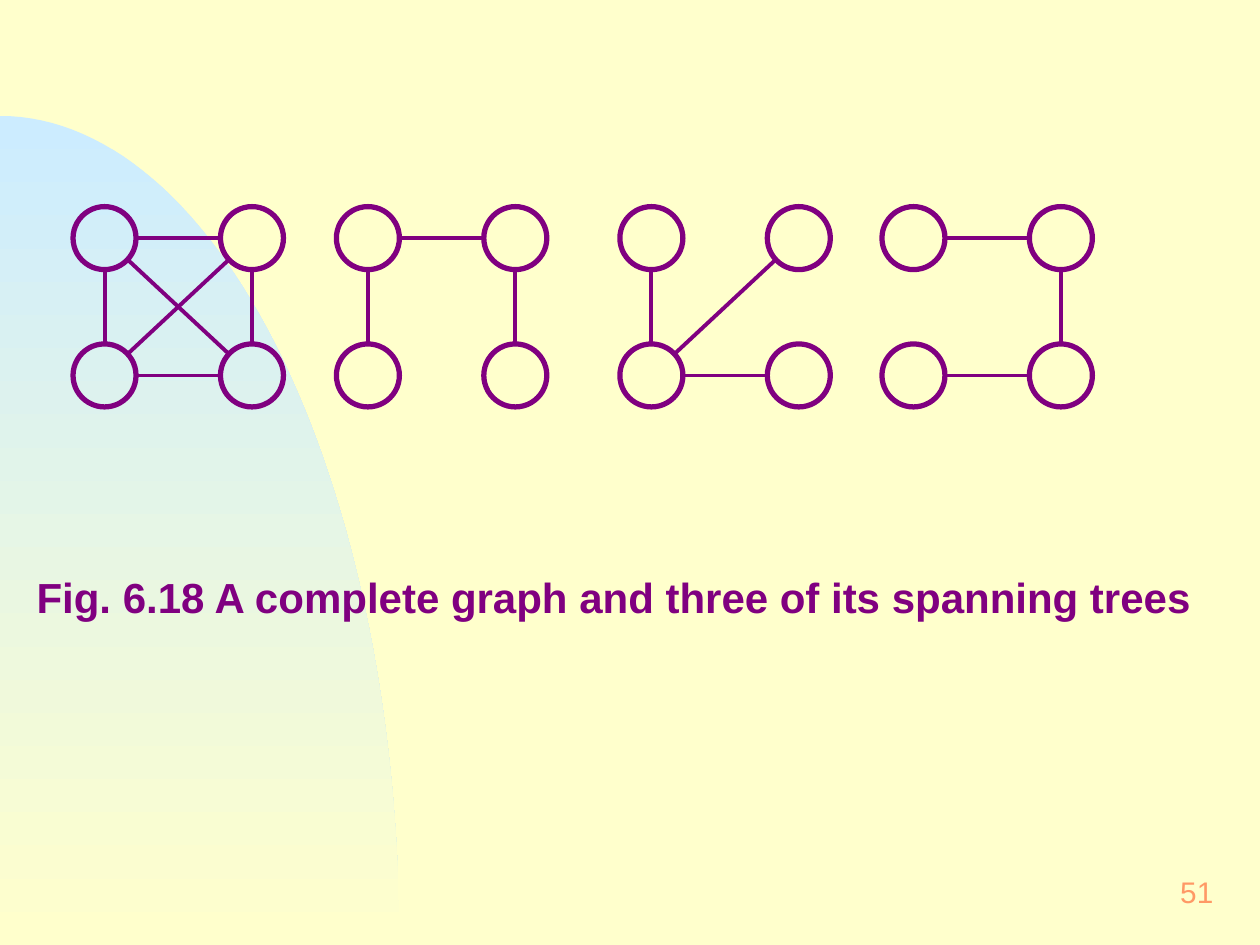
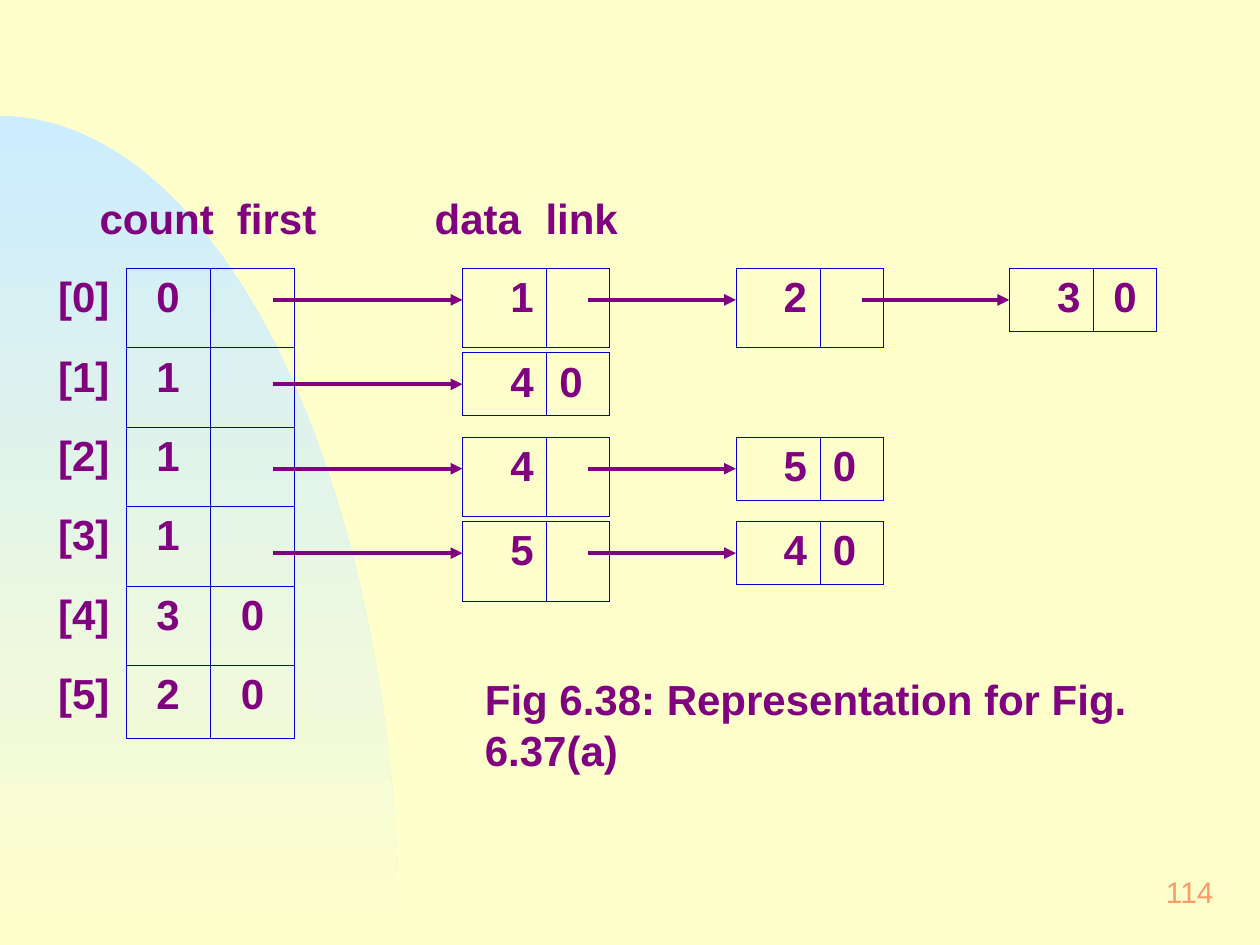
import math

import pptx
import pptx.dml.color
import pptx.enum.shapes
import pptx.enum.text
import pptx.oxml
import pptx.oxml.ns
import pptx.util
from pptx.util import Inches

ALIGN = pptx.enum.text.PP_ALIGN
COLORS = {"paper": "FFFFCC", "sky": "CCECFF", "ink": "800080",
          "grid": "0000CC", "page": "FF9966"}
FONT = "Arial"

# Graphs: nodes 0 and 1 on top, 2 and 3 below; edges are pairs of nodes
GRAPHS = [
    (0.58, [(0, 1), (0, 2), (0, 3), (1, 2), (1, 3), (2, 3)]),
    (2.67, [(0, 1), (0, 2), (1, 3)]),
    (4.92, [(0, 2), (1, 2), (2, 3)]),
    (7.0, [(0, 1), (1, 3), (2, 3)]),
]
GRAPH_CAPTION = "Fig. 6.18 A complete graph and three of its spanning trees"
NODE, NODE_TOP, NODE_DX, NODE_DY = 0.5, 1.64, 1.17, 1.09

# Adjacency lists: vertex rows, then the chain of each vertex
VERTICES = [("[0]", "0", ""), ("[1]", "1", ""), ("[2]", "1", ""),
            ("[3]", "1", ""), ("[4]", "3", "0"), ("[5]", "2", "0")]
CHAINS = [("123", ALIGN.CENTER), ("4", ALIGN.LEFT),
          ("45", ALIGN.LEFT), ("54", ALIGN.LEFT)]
# Heading text, left, width, tab stop
HEADINGS = [("count\tfirst", 0.67, 2.08, 1.09), ("data\tlink", 3.33, 1.92, 0.88)]
LIST_CAPTION = "Fig 6.38: Representation for Fig. 6.37(a)"
LIST_TOP, CHAIN_LEFT, CHAIN_DX, CHAIN_DY = 2.13, 3.67, 2.17, 0.67
ROW, TALL_ROW = 0.5, 0.63


def rgb(name):
    return pptx.dml.color.RGBColor.from_string(COLORS[name])


def write(frame, text, size=24, color="ink", bold=True, align=ALIGN.LEFT, tab=None):
    paragraph = frame.paragraphs[0]
    paragraph.alignment = align
    run = paragraph.add_run()
    run.text = text
    run.font.name, run.font.size, run.font.bold = FONT, pptx.util.Pt(size), bold
    run.font.color.rgb = rgb(color)
    if tab:
        paragraph._p.get_or_add_pPr().append(pptx.oxml.parse_xml(
            f'<a:tabLst {pptx.oxml.ns.nsdecls("a")}>'
            f'<a:tab pos="{Inches(tab)}" algn="l"/></a:tabLst>'))


def add_text(slide, text, left, top, width, height, inset=(0.12, 0.06),
             anchor=pptx.enum.text.MSO_ANCHOR.TOP, **fmt):
    frame = slide.shapes.add_textbox(*map(Inches, (left, top, width, height))).text_frame
    frame.word_wrap = True
    frame.vertical_anchor = anchor
    frame.margin_left = frame.margin_right = Inches(inset[0])
    frame.margin_top = frame.margin_bottom = Inches(inset[1])
    write(frame, text, **fmt)


def add_line(slide, start, end, arrow=False):
    line = slide.shapes.add_connector(
        pptx.enum.shapes.MSO_CONNECTOR.STRAIGHT, *map(Inches, (*start, *end)))
    line.line.color.rgb = rgb("ink")
    line.line.width = pptx.util.Pt(2.25)
    ns = pptx.oxml.ns.nsdecls("a")
    if arrow:
        line.line._get_or_add_ln().append(
            pptx.oxml.parse_xml(f'<a:tailEnd {ns} type="triangle"/>'))
    line._element.spPr.append(pptx.oxml.parse_xml(f"<a:effectLst {ns}/>"))


def add_slide(prs, page):
    """Slide with the quarter-ellipse backdrop and its page number."""
    slide = prs.slides.add_slide(prs.slide_layouts[6])
    rx, ry, bottom, steps = 3.17, 6.58, 7.5, 60
    angles = [math.pi / 2 * i / steps for i in range(steps + 1)]
    curve = [(Inches(rx * math.sin(a)), Inches(bottom - ry * math.cos(a))) for a in angles]
    outline = slide.shapes.build_freeform(*curve[0])
    outline.add_line_segments(curve[1:] + [(0, Inches(bottom))], close=True)
    backdrop = outline.convert_to_shape()
    backdrop.shadow.inherit = False
    backdrop.line.fill.background()
    backdrop.fill.gradient()
    backdrop.fill.gradient_angle = 270
    for stop, name in zip(backdrop.fill.gradient_stops, ("sky", "paper")):
        stop.color.rgb = rgb(name)
    add_text(slide, page, 7.67, 6.83, 2.08, 0.5, size=17, color="page", bold=False,
             align=ALIGN.RIGHT, anchor=pptx.enum.text.MSO_ANCHOR.MIDDLE)
    return slide


def add_graph(slide, left, edges):
    radius = NODE / 2
    corners = [(left + col * NODE_DX, NODE_TOP + row * NODE_DY)
               for row in range(2) for col in range(2)]
    for a, b in edges:
        (ax, ay), (bx, by) = corners[a], corners[b]
        length = math.hypot(bx - ax, by - ay)
        ux, uy = (bx - ax) / length * radius, (by - ay) / length * radius
        add_line(slide, (ax + radius + ux, ay + radius + uy),
                 (bx + radius - ux, by + radius - uy))
    for x, y in corners:
        node = slide.shapes.add_shape(pptx.enum.shapes.MSO_SHAPE.OVAL,
                                      *map(Inches, (x, y, NODE, NODE)))
        node.shadow.inherit = False
        node.fill.background()
        node.line.color.rgb = rgb("ink")
        node.line.width = pptx.util.Pt(3)


def set_borders(cell, sides="LRTB"):
    """Draw the given sides of a cell and clear the others."""
    for place, side in enumerate("LRTB"):
        fill = (f'<a:solidFill><a:srgbClr val="{COLORS["grid"]}"/></a:solidFill>'
                if side in sides else "<a:noFill/>")
        cell._tc.get_or_add_tcPr().insert(place, pptx.oxml.parse_xml(
            f'<a:ln{side} {pptx.oxml.ns.nsdecls("a")} w="5715">{fill}</a:ln{side}>'))


def add_grid(slide, left, top, widths, heights):
    table = slide.shapes.add_table(
        len(heights), len(widths),
        *map(Inches, (left, top, sum(widths), sum(heights)))).table
    table.first_row = table.horz_banding = False
    for column, width in zip(table.columns, widths):
        column.width = Inches(width)
    for row, height in zip(table.rows, heights):
        row.height = Inches(height)
    for cell in table.iter_cells():
        cell.fill.background()
    return table


def add_vertices(slide):
    table = add_grid(slide, 0.33, LIST_TOP, [0.67] * 3, [TALL_ROW] * 5 + [0.58])
    for r, vertex in enumerate(VERTICES):
        for c, text in enumerate(vertex):
            cell = table.cell(r, c)
            set_borders(cell, "LRTB" if c else "R")
            if text:
                write(cell.text_frame, text, align=ALIGN.CENTER)


def add_chain(slide, top, chain, end_align):
    tail = 2.17
    for i, data in enumerate(chain):
        left = CHAIN_LEFT + i * CHAIN_DX
        last = i == len(chain) - 1
        table = add_grid(slide, left, top, [0.67, 0.5], [ROW if last else TALL_ROW])
        data_cell, link_cell = table.iter_cells()
        set_borders(data_cell)
        set_borders(link_cell)
        data_cell.margin_left = Inches(0.38)
        data_cell.margin_right = 0
        write(data_cell.text_frame, data)
        if last:
            write(link_cell.text_frame, "0", align=end_align)
        add_line(slide, (tail, top + ROW / 2), (left, top + ROW / 2), arrow=True)
        tail = left + 1


def main():
    prs = pptx.Presentation()
    prs.slide_width, prs.slide_height = Inches(10), Inches(7.5)
    paper = prs.slide_master.background.fill
    paper.solid()
    paper.fore_color.rgb = rgb("paper")

    # Spanning trees
    trees = add_slide(prs, "51")
    for left, edges in GRAPHS:
        add_graph(trees, left, edges)
    add_text(trees, GRAPH_CAPTION, 0.17, 4.48, 9.58, 0.52)

    # Adjacency lists
    lists = add_slide(prs, "114")
    for text, left, width, tab in HEADINGS:
        add_text(lists, text, left, 1.47, width, 0.52, tab=tab)
    add_vertices(lists)
    for i, (chain, end_align) in enumerate(CHAINS):
        add_chain(lists, LIST_TOP + i * CHAIN_DY, chain, end_align)
    add_text(lists, LIST_CAPTION, 3.75, 5.3, 5.42, 0.9, inset=(0.1, 0.05))

    prs.save("out.pptx")


if __name__ == "__main__":
    main()
